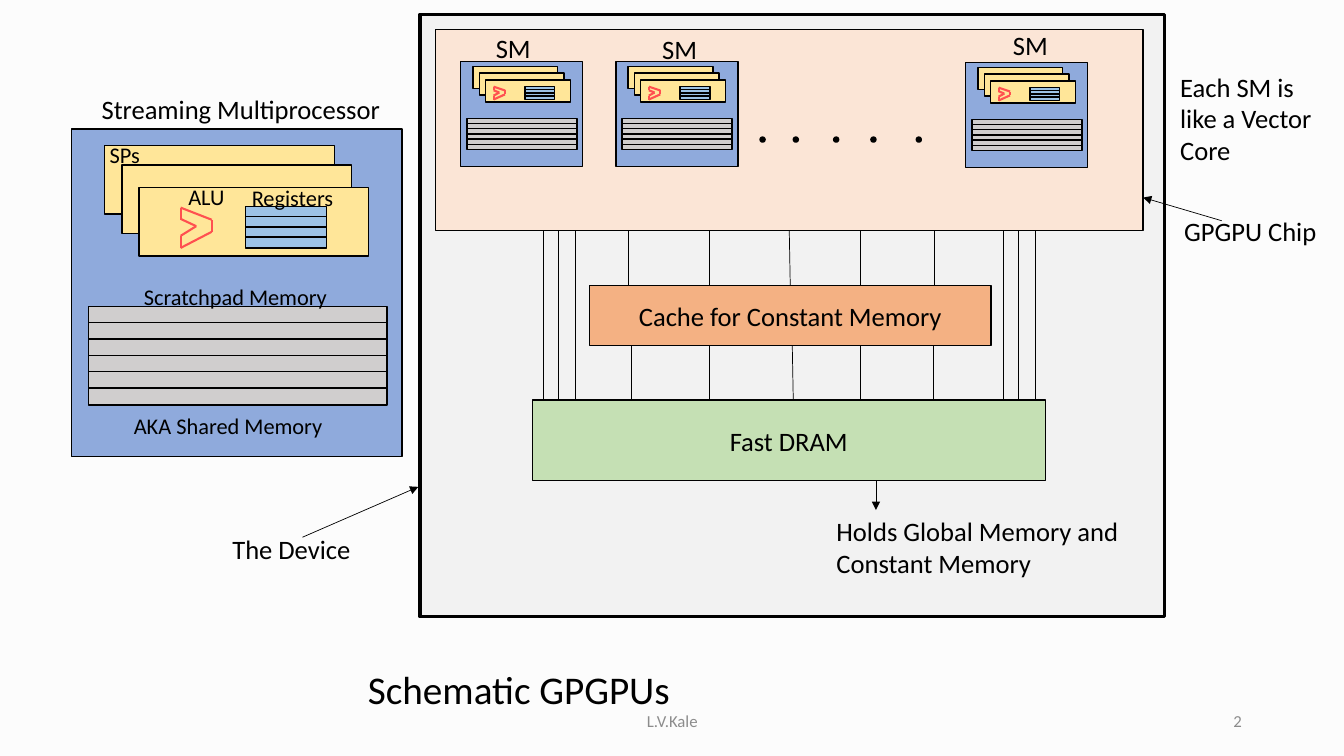
"""Builds the slide showing the schematic structure of a GPGPU device."""
import pptx
import pptx.dml.color
import pptx.enum.shapes
import pptx.enum.text
import pptx.oxml
import pptx.oxml.ns
import pptx.util

COLORS = {
    "page": "FCFCFC", "ink": "000000", "muted": "8C8C8C", "device": "F2F2F2",
    "chip": "FBE5D6", "cache": "F4B183", "dram": "C5E0B4", "processor": "8FAADC",
    "sp": "FFE699", "register": "9DC3E6", "scratchpad": "D0CECE", "alu": "FF5050",
}
RECT = pptx.enum.shapes.MSO_SHAPE.RECTANGLE
OVAL = pptx.enum.shapes.MSO_SHAPE.OVAL
ALIGN = pptx.enum.text.PP_ALIGN
ANCHOR = pptx.enum.text.MSO_ANCHOR

deck = pptx.Presentation()
deck.slide_width = pptx.util.Inches(13.33)
deck.slide_height = pptx.util.Inches(7.5)
COLUMN = deck.slide_width / 400
ROW = deck.slide_height / 225
slide = deck.slides.add_slide(deck.slide_layouts[5])
slide.background.fill.solid()
slide.background.fill.fore_color.rgb = pptx.dml.color.RGBColor.from_string(COLORS["page"])


def block(text, left, top, width, height, fill=None, border=1, preset=RECT, size=19,
          color="ink", align=ALIGN.LEFT, anchor=ANCHOR.TOP, holder=None, on=slide.shapes):
    """Place a filled shape, a text box or a placeholder, in columns and rows."""
    place = [round(n * unit) for n, unit in zip((left, top, width, height), (COLUMN, ROW) * 2)]
    if holder is not None:
        part = holder
        part.left, part.top, part.width, part.height = place
    elif fill:
        part = on.add_shape(preset, *place)
        part.shadow.inherit = False
        part.fill.solid()
        part.fill.fore_color.rgb = pptx.dml.color.RGBColor.from_string(COLORS[fill])
        part.line.color.rgb = pptx.dml.color.RGBColor.from_string(COLORS["ink"])
        part.line.width = pptx.util.Pt(border)
    else:
        part = on.add_textbox(*place)
    if text:
        part.text_frame.text = text
        part.text_frame.word_wrap = True
        part.text_frame.vertical_anchor = anchor
        paragraph = part.text_frame.paragraphs[0]
        paragraph.alignment = align
        font = paragraph.runs[0].font
        font.name, font.size = "Calibri", pptx.util.Pt(size)
        font.color.rgb = pptx.dml.color.RGBColor.from_string(COLORS[color])


def wire(x1, y1, x2, y2, color="ink", width=0.5, arrow=False, on=slide.shapes):
    """Draw a straight line between two grid points."""
    link = on.add_connector(
        pptx.enum.shapes.MSO_CONNECTOR.STRAIGHT,
        round(x1 * COLUMN), round(y1 * ROW), round(x2 * COLUMN), round(y2 * ROW))
    link.line.color.rgb = pptx.dml.color.RGBColor.from_string(COLORS[color])
    link.line.width = pptx.util.Pt(width)
    if arrow:
        tip = pptx.oxml.parse_xml(f'<a:tailEnd {pptx.oxml.ns.nsdecls("a")} type="triangle"/>')
        link.line._get_or_add_ln().append(tip)
    link._element.spPr.append(pptx.oxml.parse_xml(f'<a:effectLst {pptx.oxml.ns.nsdecls("a")}/>'))


block("", 125, 4.2, 221.7, 179.4, fill="device", border=2.25)
block("", 129.6, 8.7, 210.6, 60, fill="chip")
block("Cache for Constant Memory", 175.5, 84.9, 119.4, 18, fill="cache",
      align=ALIGN.CENTER, anchor=ANCHOR.MIDDLE)
block("Fast DRAM", 158.4, 119.1, 152.7, 24, fill="dram",
      align=ALIGN.CENTER, anchor=ANCHOR.MIDDLE)
block("Schematic GPGPUs", 101.4, 196.5, 106, 17, size=28, align=ALIGN.CENTER,
      holder=slide.shapes.title)

for x1, x2 in ((186.9, 186.9), (211.2, 211.2), (234.9, 235.2), (256.2, 256.2), (278.1, 278.1)):
    wire(x1, 68.6, x2, 84.9)
for x1, x2 in ((187.8, 187.8), (211.2, 211.2), (235.8, 236.1), (256.2, 256.2), (277.8, 277.8)):
    wire(x1, 102.9, x2, 119.1)
for bus_left in (161.7, 298.5):
    for step in (0, 4.5, 9.6):
        wire(bus_left + step, 68.6, bus_left + step, 119.1)
for dot_left in (226.2, 236.1, 248.1, 259.2, 272.7):
    block("", dot_left, 40.8, 1.5, 1.5, fill="ink", preset=OVAL)

ALU_EDGES = (
    (0, 0, 0, 0.3), (0, 0.7, 0, 1), (1, 0.3, 1, 0.6), (0, 0, 1, 0.3),
    (0, 1, 1, 0.6), (0, 0.28, 0.5, 0.46), (0, 0.7, 0.5, 0.46),
)
PROCESSORS = (
    (137.1, 18.3, 36.3, 31.2, 0.27), (183.3, 18.3, 36.3, 31.2, 0.27),
    (287.4, 18.6, 36.3, 31.2, 0.27), (21.3, 38.4, 98.4, 97.5, 0.33),
)
for left, top, width, height, alu_share in PROCESSORS:
    group = slide.shapes.add_group_shape().shapes
    layers = [("processor", 0, 0, 1, 1)]
    layers += [("sp", x, y, 0.695, 0.21) for x, y in ((0.1, 0.05), (0.152, 0.11), (0.204, 0.178))]
    layers += [("register", 0.527, 0.237 + 0.031 * i, 0.244, 0.033) for i in range(4)]
    layers += [("scratchpad", 0.052, 0.541 + 0.05 * i, 0.902, 0.051) for i in range(6)]
    for layer, x, y, w, h in layers:
        block("", left + x * width, top + y * height, w * width, h * height,
              fill=layer, on=group)
    alu_left, alu_top = left + alu_share * width, top + 0.24 * height
    alu_width, alu_height = 0.094 * width, 0.123 * height
    for x1, y1, x2, y2 in ALU_EDGES:
        wire(alu_left + x1 * alu_width, alu_top + y1 * alu_height,
             alu_left + x2 * alu_width, alu_top + y2 * alu_height,
             color="alu", width=1.5, on=group)

for label, left, top, width, height in (
    ("SM", 144.6, 8.1, 17.1, 12), ("SM", 194.1, 8.4, 17.1, 12), ("SM", 298.5, 7.2, 17.1, 12),
    ("Streaming Multiprocessor", 27.3, 26.1, 93, 12.6),
    ("Each SM is like a Vector Core", 348.3, 19.5, 50.7, 21.3),
    ("GPGPU Chip", 349.5, 62.4, 46, 12),
    ("The Device", 66.2, 157.2, 42.3, 12),
    ("Holds Global Memory and Constant Memory", 246, 151.8, 101.1, 21.3),
):
    block(label, left, top, width, height)
for label, left, top, width in (
    ("SPs", 29.7, 40.5, 26.7), ("ALU", 53.1, 53.1, 18), ("Registers", 72, 53.4, 31),
    ("Scratchpad Memory", 39.9, 82.8, 67), ("AKA Shared Memory", 36.9, 121.2, 70.2),
):
    block(label, left, top, width, 11.1, size=16)

wire(260.7, 143.1, 260.7, 151.8, arrow=True)
wire(363.6, 65.7, 340.2, 58.8, arrow=True)
wire(90, 159.9, 124.5, 144.9, arrow=True)

for note, left, width, align in (
    ("L.V.Kale", 132.6, 135, ALIGN.CENTER), ("2", 282.6, 90, ALIGN.RIGHT),
):
    block(note, left, 208.5, width, 12, size=12, color="muted", align=align,
          anchor=ANCHOR.MIDDLE)

deck.save("out.pptx")
